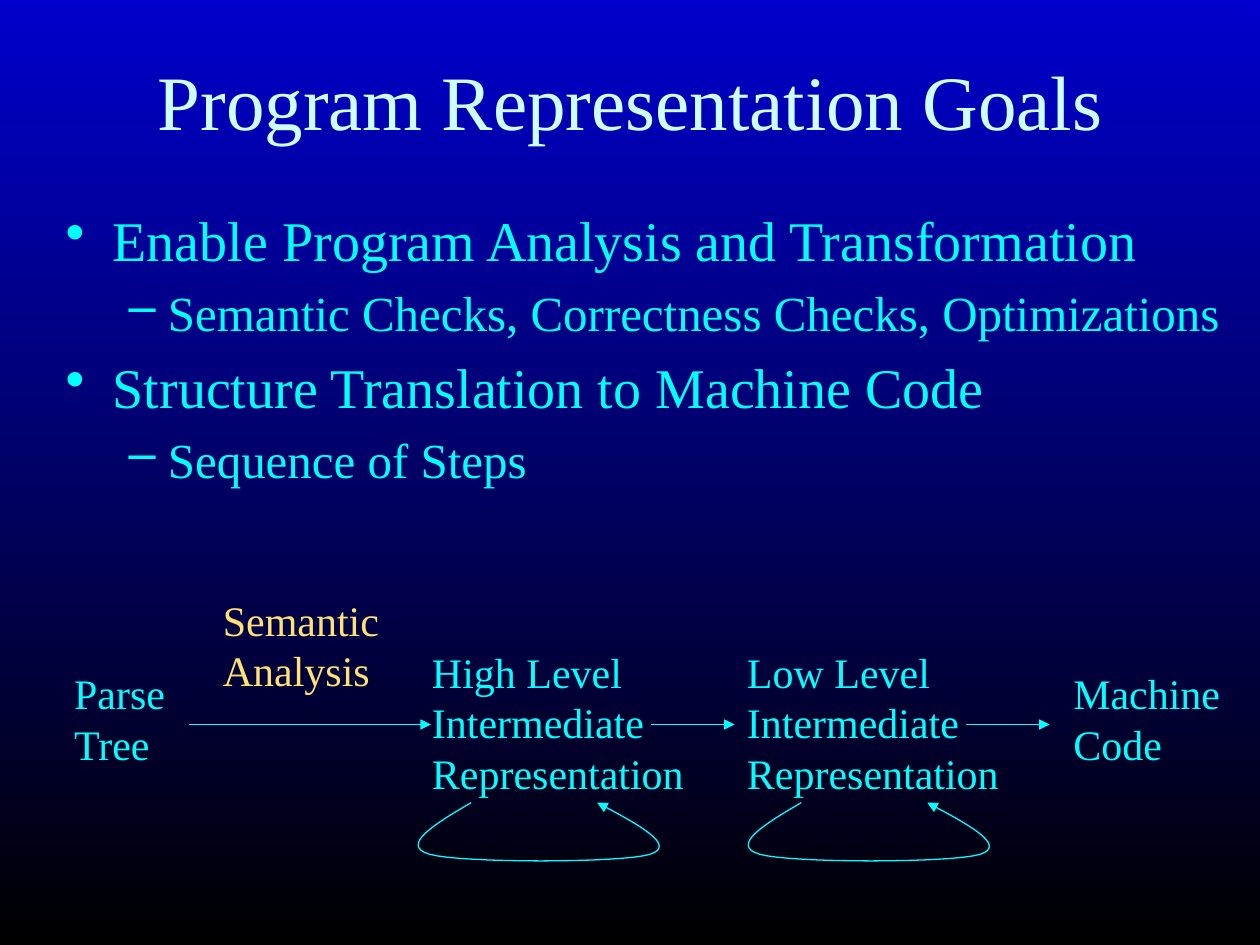
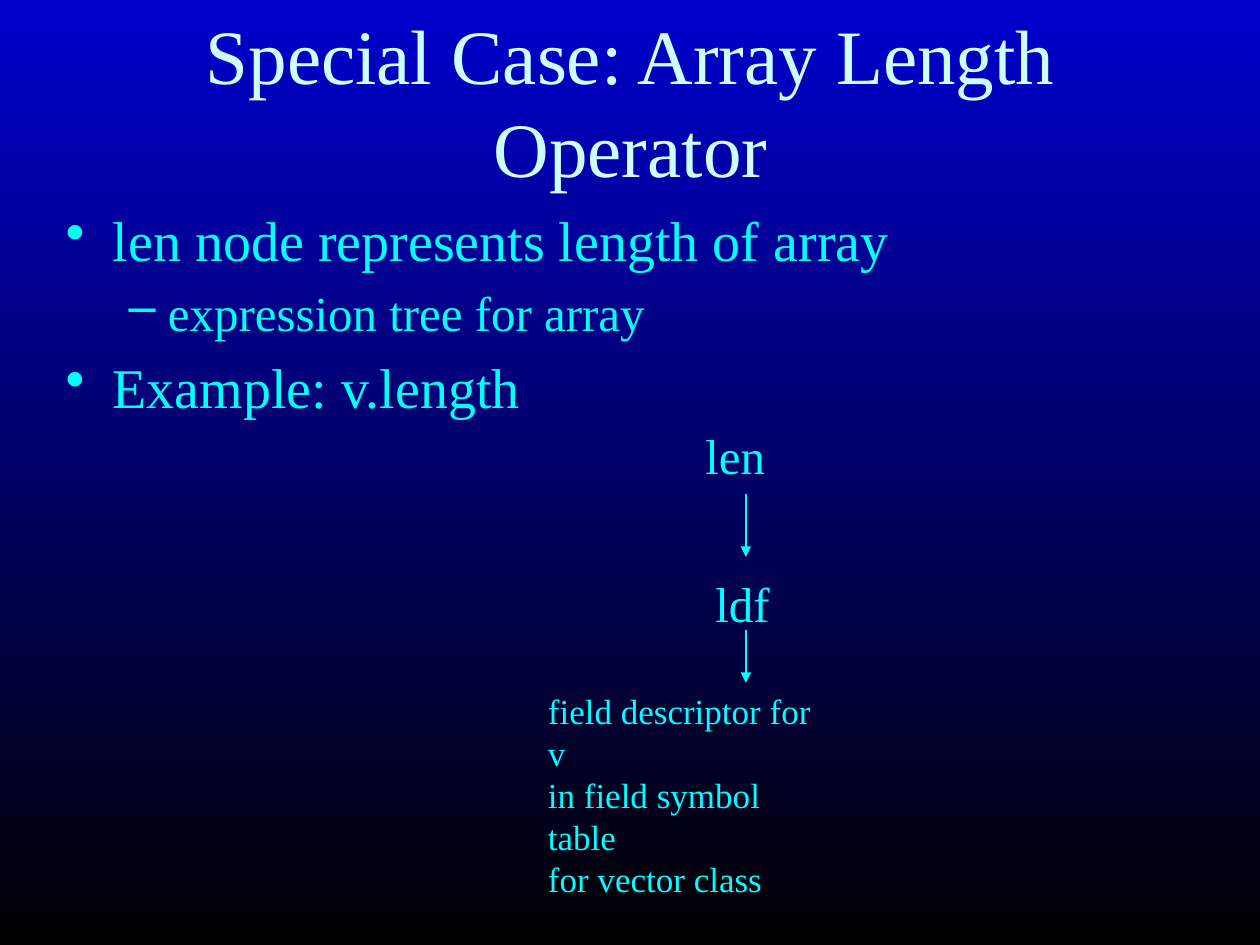
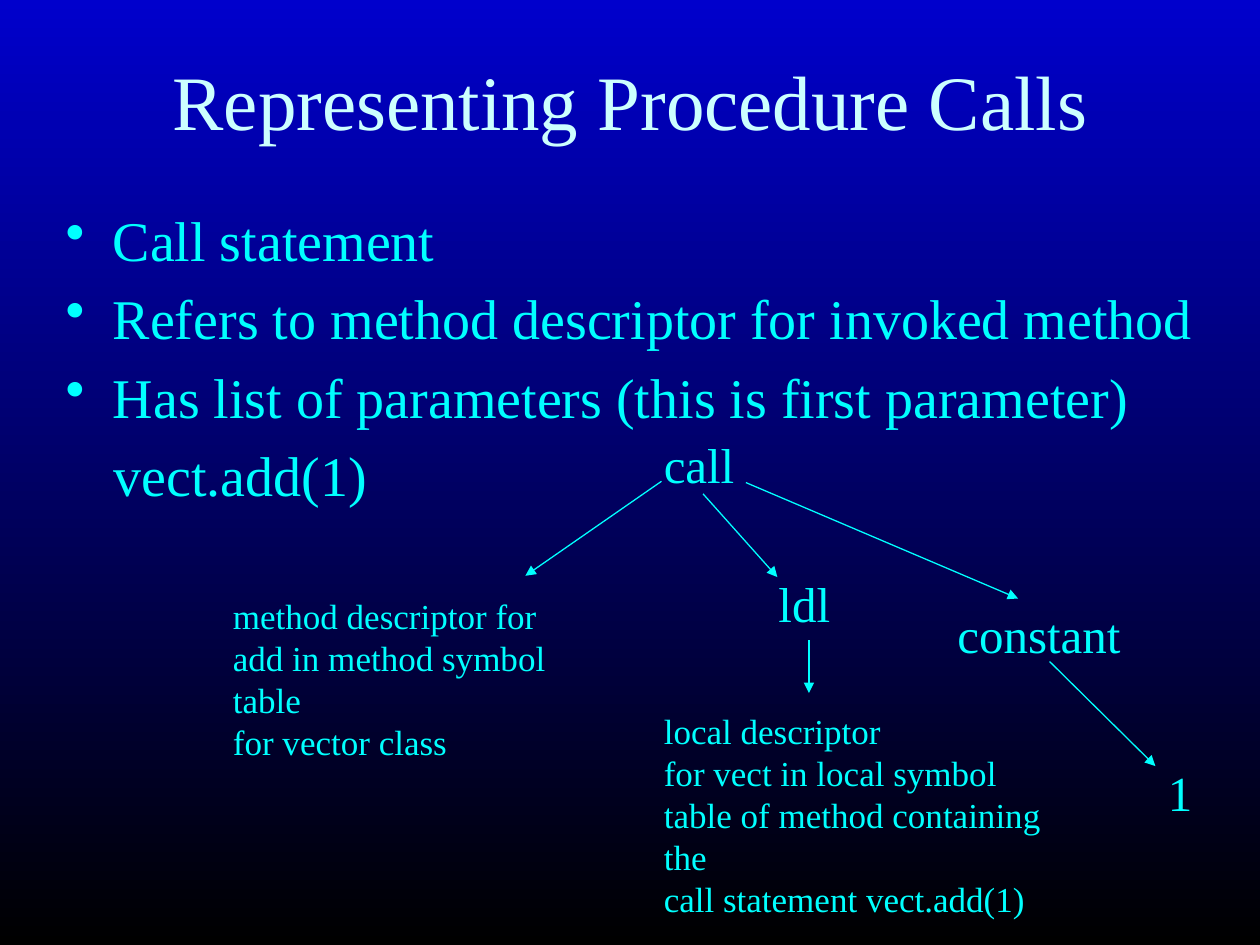
import pptx
import pptx.dml.color
import pptx.enum.shapes
import pptx.enum.text
import pptx.oxml
import pptx.oxml.ns
import pptx.util
from pptx.util import Inches

COLOURS = {
    "top": "0000CC",
    "bottom": "000000",
    "title": "CCFFFF",
    "text": "00FFFF",
    "highlight": "FFE175",
}
FONT = "Times New Roman"
TITLE_SIZE = 44
LIST_SIZES = [32, 28]
STAGE_SIZE, NODE_SIZE, NOTE_SIZE = 24, 28, 20
LINE_WIDTH = 0.75
LIST_INDENT = 0.38

# Cubic segments of a loop-back arrow, relative to its left end: control, control, end
LOOP_START = (0.57, 6.37)
LOOP_CURVES = [
    [(0.28, 6.54), (0, 6.71), (0.24, 6.78)],
    [(0.48, 6.85), (1.77, 6.85), (1.99, 6.78)],
    [(2.21, 6.71), (1.89, 6.54), (1.57, 6.37)],
]
CURVE_STEPS = 16


def rgb(name):
    return pptx.dml.color.RGBColor.from_string(COLOURS[name])


def drawing_element(tag, **attributes):
    element = pptx.oxml.parse_xml(f"<a:{tag} {pptx.oxml.ns.nsdecls('a')}/>")
    for name, value in attributes.items():
        element.set(name, value)
    return element


def bezier_points(start, curves):
    """Sample a chain of cubic curves as a list of points after the start."""
    points = []
    for first, second, end in curves:
        for step in range(1, CURVE_STEPS + 1):
            t = step / CURVE_STEPS
            weights = ((1 - t) ** 3, 3 * t * (1 - t) ** 2, 3 * t * t * (1 - t), t ** 3)
            corners = (start, first, second, end)
            points.append(tuple(
                sum(weight * corner[axis] for weight, corner in zip(weights, corners))
                for axis in (0, 1)
            ))
        start = end
    return points


class Deck:
    """Holds the shared style and the slide being filled."""

    def __init__(self):
        self.presentation = pptx.Presentation()
        self.presentation.slide_width = Inches(10)
        self.presentation.slide_height = Inches(7.5)
        self.slide = None
        fill = self.presentation.slide_master.background.fill
        fill.gradient()
        fill.gradient_angle = 270
        for stop, name in zip(fill.gradient_stops, ("top", "bottom")):
            stop.color.rgb = rgb(name)

    def add_slide(self, title):
        layout = self.presentation.slide_layouts[1]
        self.slide = self.presentation.slides.add_slide(layout)
        shape = self.slide.shapes.title
        self.place(shape, 0.42, 0.17, 9.17, 1.25)
        shape.text_frame.vertical_anchor = pptx.enum.text.MSO_ANCHOR.MIDDLE
        paragraph = shape.text_frame.paragraphs[0]
        paragraph.alignment = pptx.enum.text.PP_ALIGN.CENTER
        self.add_run(paragraph, title, TITLE_SIZE, "title")

    def place(self, shape, left, top, width, height):
        shape.left, shape.top = Inches(left), Inches(top)
        shape.width, shape.height = Inches(width), Inches(height)
        shape.text_frame.auto_size = pptx.enum.text.MSO_AUTO_SIZE.NONE

    def add_run(self, paragraph, text, size, colour="text"):
        run = paragraph.add_run()
        run.text = text
        run.font.name = FONT
        run.font.size = pptx.util.Pt(size)
        run.font.color.rgb = rgb(colour)

    def paragraphs(self, text_frame, count):
        for _ in range(count - 1):
            text_frame.add_paragraph()
        return text_frame.paragraphs

    def add_list(self, items, width=9.17):
        """Fill the body with (level, text) items; level None means no bullet."""
        body = self.slide.placeholders[1]
        self.place(body, 0.42, 1.58, width, 5.33)
        paragraphs = self.paragraphs(body.text_frame, len(items))
        for paragraph, (level, text) in zip(paragraphs, items):
            properties = paragraph._p.get_or_add_pPr()
            if level is None:
                properties.set("marL", str(Inches(LIST_INDENT)))
                properties.set("indent", "0")
                properties.append(drawing_element("buNone"))
            else:
                paragraph.level = level
                properties.append(drawing_element("buFontTx"))
            self.add_run(paragraph, text, LIST_SIZES[level or 0])

    def add_label(self, lines, left, top, width, height, size, colour="text", wrap=False):
        shape = self.slide.shapes.add_textbox(0, 0, 0, 0)
        self.place(shape, left, top, width, height)
        shape.text_frame.word_wrap = wrap
        paragraphs = self.paragraphs(shape.text_frame, len(lines))
        for paragraph, text in zip(paragraphs, lines):
            self.add_run(paragraph, text, size, colour)

    def add_stage(self, lines, left, top, width, colour="text"):
        self.add_label(lines, left, top, width, 0.1 + 0.4 * len(lines), STAGE_SIZE, colour)

    def add_node(self, text, left, top, width):
        self.add_label([text], left, top, width, 0.57, NODE_SIZE)

    def add_note(self, lines, left, top, width):
        height = 0.1 + 0.33 * len(lines)
        self.add_label(lines, left, top, width, height, NOTE_SIZE, wrap=True)

    def style_arrow(self, shape):
        shape.line.color.rgb = rgb("text")
        shape.line.width = pptx.util.Pt(LINE_WIDTH)
        properties = shape._element.spPr
        outline = properties.find(pptx.oxml.ns.qn("a:ln"))
        outline.append(drawing_element("tailEnd", type="triangle"))
        outline.addnext(drawing_element("effectLst"))

    def add_arrow(self, start, end):
        straight = pptx.enum.shapes.MSO_CONNECTOR.STRAIGHT
        ends = [Inches(value) for value in (*start, *end)]
        self.style_arrow(self.slide.shapes.add_connector(straight, *ends))

    def add_loop(self, left):
        points = [
            (Inches(left + x), Inches(y))
            for x, y in [LOOP_START, *bezier_points(LOOP_START, LOOP_CURVES)]
        ]
        builder = self.slide.shapes.build_freeform(*points[0])
        builder.add_line_segments(points[1:], close=False)
        shape = builder.convert_to_shape()
        shape.fill.background()
        self.style_arrow(shape)


def add_goals(deck):
    deck.add_slide("Program Representation Goals")
    deck.add_list([
        (0, "Enable Program Analysis and Transformation"),
        (1, "Semantic Checks, Correctness Checks, Optimizations"),
        (0, "Structure Translation to Machine Code"),
        (1, "Sequence of Steps"),
    ], width=9.58)
    deck.add_stage(["Parse", "Tree"], 0.49, 5.25, 1.01)
    for level, left in (("High", 3.33), ("Low", 5.83)):
        deck.add_stage([f"{level} Level", "Intermediate", "Representation"], left, 5.08, 2.28)
    deck.add_stage(["Machine", "Code"], 8.42, 5.25, 1.37)
    for start, end in ((1.5, 3.42), (5.17, 5.83), (7.67, 8.33)):
        deck.add_arrow((start, 5.75), (end, 5.75))
    for left in (3.17, 5.79):
        deck.add_loop(left)
    deck.add_stage(["Semantic", "Analysis"], 1.67, 4.67, 1.52, "highlight")


def add_array_length(deck):
    deck.add_slide("Special Case: Array Length Operator")
    deck.add_list([
        (0, "len node represents length of array"),
        (1, "expression tree for array"),
        (0, "Example: v.length"),
    ])
    deck.add_node("len", 5.5, 3.33, 0.68)
    deck.add_node("ldf", 5.58, 4.5, 0.63)
    deck.add_note(
        ["field descriptor for v", "in field symbol table", "for vector class"],
        4.25, 5.42, 2.45,
    )
    for top, bottom in ((3.92, 4.42), (5, 5.42)):
        deck.add_arrow((5.92, top), (5.92, bottom))


def add_procedure_calls(deck):
    deck.add_slide("Representing Procedure Calls")
    deck.add_list([
        (0, "Call statement"),
        (0, "Refers to method descriptor for invoked method"),
        (0, "Has list of parameters (this is first parameter)"),
        (None, "vect.add(1)"),
    ])
    for text, left, top, width in (
        ("call", 5.17, 3.4, 0.76),
        ("ldl", 6.08, 4.5, 0.61),
        ("constant", 7.5, 4.75, 1.49),
        ("1", 9.17, 6, 0.4),
    ):
        deck.add_node(text, left, top, width)
    deck.add_note(
        ["method descriptor for", "add in method symbol table", "for vector class"],
        1.75, 4.67, 3.25,
    )
    deck.add_note(
        ["local descriptor", "for vect in local symbol",
         "table of method containing the", "call statement vect.add(1)"],
        5.17, 5.58, 3.55,
    )
    for start, end in (
        ((5.25, 3.82), (4.17, 4.57)),
        ((5.58, 3.92), (6.17, 4.58)),
        ((5.92, 3.83), (8.08, 4.75)),
        ((6.42, 5.08), (6.42, 5.5)),
        ((8.33, 5.25), (9.17, 6.08)),
    ):
        deck.add_arrow(start, end)


def main():
    deck = Deck()
    add_goals(deck)
    add_array_length(deck)
    add_procedure_calls(deck)
    deck.presentation.save("out.pptx")


if __name__ == "__main__":
    main()
